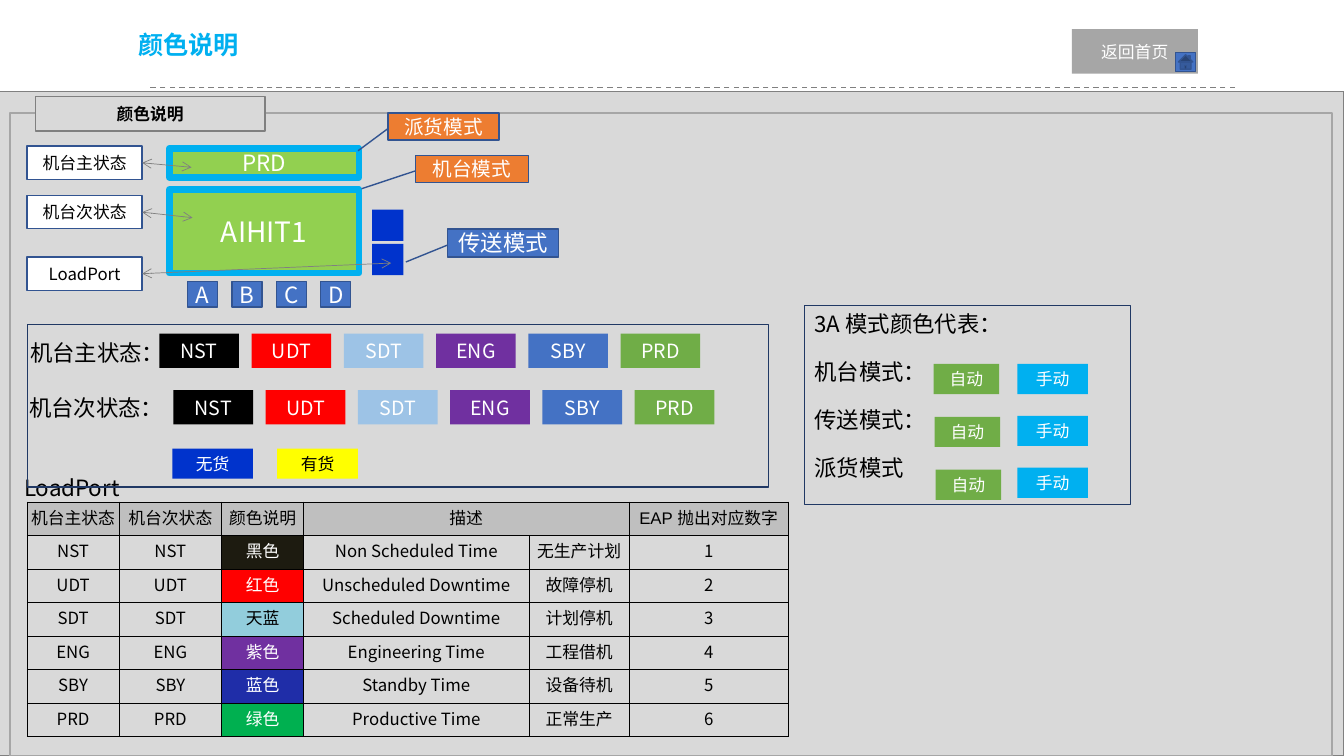
from dataclasses import dataclass

from lxml.etree import SubElement
from pptx import Presentation
from pptx.dml.color import RGBColor
from pptx.enum.dml import MSO_LINE
from pptx.enum.shapes import MSO_CONNECTOR, MSO_SHAPE
from pptx.enum.text import MSO_ANCHOR, PP_ALIGN
from pptx.oxml.ns import qn
from pptx.util import Inches, Pt

UNIT = Inches(0.1)
FONT = "Noto Sans CJK SC"
BLACK, WHITE, GREY, NAVY = "000000", "FFFFFF", "808080", "325491"
SKY, GREEN, BLUE, LOAD, ORANGE = "00B0F0", "70AD47", "4472C4", "0033CC", "ED7D31"
STATES = [("NST", BLACK), ("UDT", "FF0000"), ("SDT", "9DC3E6"),
          ("ENG", "7030A0"), ("SBY", BLUE), ("PRD", GREEN)]
HEADERS = ["机台主状态", "机台次状态", "颜色说明", "描述", "", "EAP 抛出对应数字"]
COLOURS = [("黑色", "1D1B10", "Non Scheduled Time", "无生产计划"),
           ("红色", "FF0000", "Unscheduled Downtime", "故障停机"),
           ("天蓝", "92CDDC", "Scheduled Downtime", "计划停机"),
           ("紫色", "7030A0", "Engineering Time", "工程借机"),
           ("蓝色", "1F2DA8", "Standby Time", "设备待机"),
           ("绿色", "00B050", "Productive Time", "正常生产")]


@dataclass
class Box:
    x: float
    y: float
    w: float
    h: float

    def inner(self, x, y, w, h):
        return Box(self.x + x, self.y + y, w, h)

    def emu(self):
        return [round(v * UNIT) for v in (self.x, self.y, self.w, self.h)]


def rgb(value):
    return RGBColor.from_string(value)


def style(p, size, colour, align=PP_ALIGN.CENTER, bold=False, name=FONT):
    p.alignment = align
    p.font.size = Pt(size)
    p.font.bold = bold
    p.font.color.rgb = rgb(colour)
    p.font.name = name
    SubElement(p.font._element, qn("a:ea"), typeface=FONT)


def block(s, box, fill=None, line=None, width=1, text="", size=12, colour=WHITE,
          bold=False, kind=MSO_SHAPE.RECTANGLE):
    sp = s.shapes.add_shape(kind, *box.emu())
    sp.shadow.inherit = False
    if fill:
        sp.fill.solid()
        sp.fill.fore_color.rgb = rgb(fill)
    else:
        sp.fill.background()
    if line:
        sp.line.color.rgb = rgb(line)
        sp.line.width = Pt(width)
    else:
        sp.line.fill.background()
    if text:
        tf = sp.text_frame
        tf.margin_left = tf.margin_right = tf.margin_top = tf.margin_bottom = 0
        tf.vertical_anchor = MSO_ANCHOR.MIDDLE
        tf.text = text
        style(tf.paragraphs[0], size, colour, bold=bold)
    return sp


def label(s, box, text):
    tf = s.shapes.add_textbox(*box.emu()).text_frame
    tf.word_wrap = True
    tf.text = text
    style(tf.paragraphs[0], 16, BLACK, PP_ALIGN.LEFT)


def connector(s, start, end, width):
    points = [round(v * UNIT) for v in (*start, *end)]
    cxn = s.shapes.add_connector(MSO_CONNECTOR.STRAIGHT, *points)
    cxn.line.color.rgb = rgb(GREY)
    cxn.line.width = Pt(width)
    SubElement(cxn._element.spPr, qn("a:effectLst"))
    return cxn


def callout(s, box, fill, text, size, adjustments):
    sp = block(s, box, fill, NAVY, 1, text, size, kind=MSO_SHAPE.LINE_CALLOUT_1)
    for i, value in enumerate(adjustments):
        sp.adjustments[i] = value


def header(s, box):
    rule = connector(s, (box.x + 122.5, box.y + 8.7), (box.x + 14.8, box.y + 8.7), 1)
    rule.line.dash_style = MSO_LINE.DASH
    block(s, box.inner(106.3, 2.9, 12.5, 4.4), "A6A6A6", text="返回首页")
    block(s, box.inner(116.6, 5.2, 2, 1.9), BLUE, NAVY, kind=MSO_SHAPE.ACTION_BUTTON_HOME)
    title = s.shapes.title
    title.left, title.top, title.width, title.height = box.inner(12.7, 2.1, 100, 5).emu()
    tf = title.text_frame
    tf.vertical_anchor = MSO_ANCHOR.MIDDLE
    tf.text = "颜色说明"
    style(tf.paragraphs[0], 18, SKY, PP_ALIGN.LEFT, True)
    tf.paragraphs[0].line_spacing = 0.9


def backdrop(s, box):
    block(s, box, "D9D9D9", GREY)
    block(s, box.inner(1.1, 2.1, 131.1, 63.8), line="A6A6A6")
    block(s, box.inner(3.6, 0.5, 22.8, 3.4), "D9D9D9", GREY,
          text="颜色说明", colour=BLACK, bold=True)


def machine(s, box):
    block(s, box.inner(14.1, 7.6, 18.8, 8.3), "92D050", SKY, 4.75, "AIHIT1", 20)
    block(s, box.inner(14.1, 3.5, 18.8, 2.9), "92D050", SKY, 4.75, "PRD", 16)
    for i, port in enumerate("ABCD"):
        block(s, box.inner(15.9 + 4.4 * i, 16.75, 3, 2.5), BLUE, NAVY, text=port, size=16)
    for y in (9.6, 13):
        block(s, box.inner(34.2, y, 3.1, 3.1), LOAD)
    callout(s, box.inner(35.8, 0, 11, 2.7), ORANGE, "派货模式", 14, (0.578, -0.002, 1.391, -0.271))
    callout(s, box.inner(38.5, 4.2, 11.2, 2.7), ORANGE, "机台模式", 14, (0.578, -0.002, 1.233, -0.477))
    callout(s, box.inner(41.7, 11.5, 11, 2.8), BLUE, "传送模式", 16, (0.578, -0.002, 1.176, -0.377))
    for text, y, end in [("机台主状态", 3.3, (16.3, 5.4)),
                         ("机台次状态", 8.2, (16.4, 10.4)),
                         ("LoadPort", 14.3, (36.1, 14.9))]:
        sp = block(s, box.inner(0, y, 11.4, 3.3), WHITE, NAVY, text=text, colour=BLACK,
                   kind=MSO_SHAPE.FLOWCHART_PROCESS)
        cxn = connector(s, (box.x + 11.4, box.y + y + 1.65),
                        (box.x + end[0], box.y + end[1]), 0.5)
        cxn.begin_connect(sp, 3)
        ln = cxn.line._get_or_add_ln()
        for tag in ("a:headEnd", "a:tailEnd"):
            SubElement(ln, qn(tag), type="arrow")


def state_legend(s, box):
    label(s, box.inner(-0.7, 1, 14.4, 3.7), "机台主状态：")
    label(s, box.inner(-0.8, 6.4, 14.4, 3.7), "机台次状态：")
    label(s, box.inner(-1.3, 14.3, 13.3, 3.7), "LoadPort")
    for x, y in ((13.1, 0.9), (14.5, 6.5)):
        for i, (state, fill) in enumerate(STATES):
            block(s, box.inner(x + 9.15 * i, y, 7.9, 3.4), fill, text=state, size=14)
    block(s, box.inner(14.4, 12.3, 8, 3), LOAD, text="无货")
    block(s, box.inner(24.8, 12.3, 8, 3), "FFFF00", text="有货", colour=BLACK)
    block(s, box, line="203864")


def mode_legend(s, box):
    sp = block(s, box, line="203864", width=0.75)
    tf = sp.text_frame
    tf.vertical_anchor = MSO_ANCHOR.TOP
    tf.text = "3A 模式颜色代表：\n机台模式：\n传送模式：\n派货模式"
    for i, p in enumerate(tf.paragraphs):
        style(p, 16, BLACK, PP_ALIGN.LEFT)
        p.space_before = Pt(15 if i else 0)
    for i in range(3):
        block(s, box.inner(12.8 + 0.1 * i, 5.8 + 5.25 * i, 6.5, 3), GREEN, text="自动")
        block(s, box.inner(21.1, 5.8 + 5.15 * i, 7, 3), SKY, text="手动")


def fill_cell(cell, text, fill, colour, name):
    cell.margin_left = cell.margin_right = cell.margin_top = Inches(0.01)
    cell.margin_bottom = Inches(0.05)
    cell.vertical_anchor = MSO_ANCHOR.MIDDLE
    cell.text = text
    style(cell.text_frame.paragraphs[0], 12, colour, name=name)
    tcPr = cell._tc.get_or_add_tcPr()
    for side in ("a:lnL", "a:lnR", "a:lnT", "a:lnB"):
        ln = SubElement(tcPr, qn(side), w=str(Pt(0.5)))
        SubElement(SubElement(ln, qn("a:solidFill")), qn("a:srgbClr"), val=BLACK)
    if fill:
        cell.fill.solid()
        cell.fill.fore_color.rgb = rgb(fill)
    else:
        cell.fill.background()


def colour_table(s, box):
    rows = [HEADERS] + [[state, state, name, english, chinese, str(i)]
                        for i, ((state, _), (name, _, english, chinese))
                        in enumerate(zip(STATES, COLOURS), 1)]
    table = s.shapes.add_table(len(rows), len(HEADERS), *box.emu()).table
    table.first_row = table.horz_banding = False
    for column, width in zip(table.columns, (9.1, 10.2, 8.1, 22.4, 9.9, 15.8)):
        column.width = round(width * UNIT)
    for r, row in enumerate(rows):
        for c, text in enumerate(row):
            swatch = r > 0 and c == 2
            fill = COLOURS[r - 1][1] if swatch else None if r else "BFBFBF"
            colour = WHITE if swatch and text != "天蓝" else BLACK
            arial = c in (2, 4) or (r == 0 and c > 2)
            fill_cell(table.cell(r, c), text, fill, colour, "Arial" if arial else FONT)
    table.cell(0, 3).merge(table.cell(0, 4))


def main():
    prs = Presentation()
    prs.slide_width, prs.slide_height = Inches(13.33), Inches(7.5)
    s = prs.slides.add_slide(prs.slide_layouts[5])
    header(s, Box(0, 0, 133.3, 9.1))
    backdrop(s, Box(-0.1, 9.1, 133.4, 65.9))
    machine(s, Box(2.7, 11.2, 52.7, 19.3))
    state_legend(s, Box(2.7, 32.2, 73.5, 16.1))
    mode_legend(s, Box(79.8, 30.3, 32.3, 19.8))
    colour_table(s, Box(2.7, 49.8, 75.4, 23.3))
    prs.save("out.pptx")


if __name__ == "__main__":
    main()
